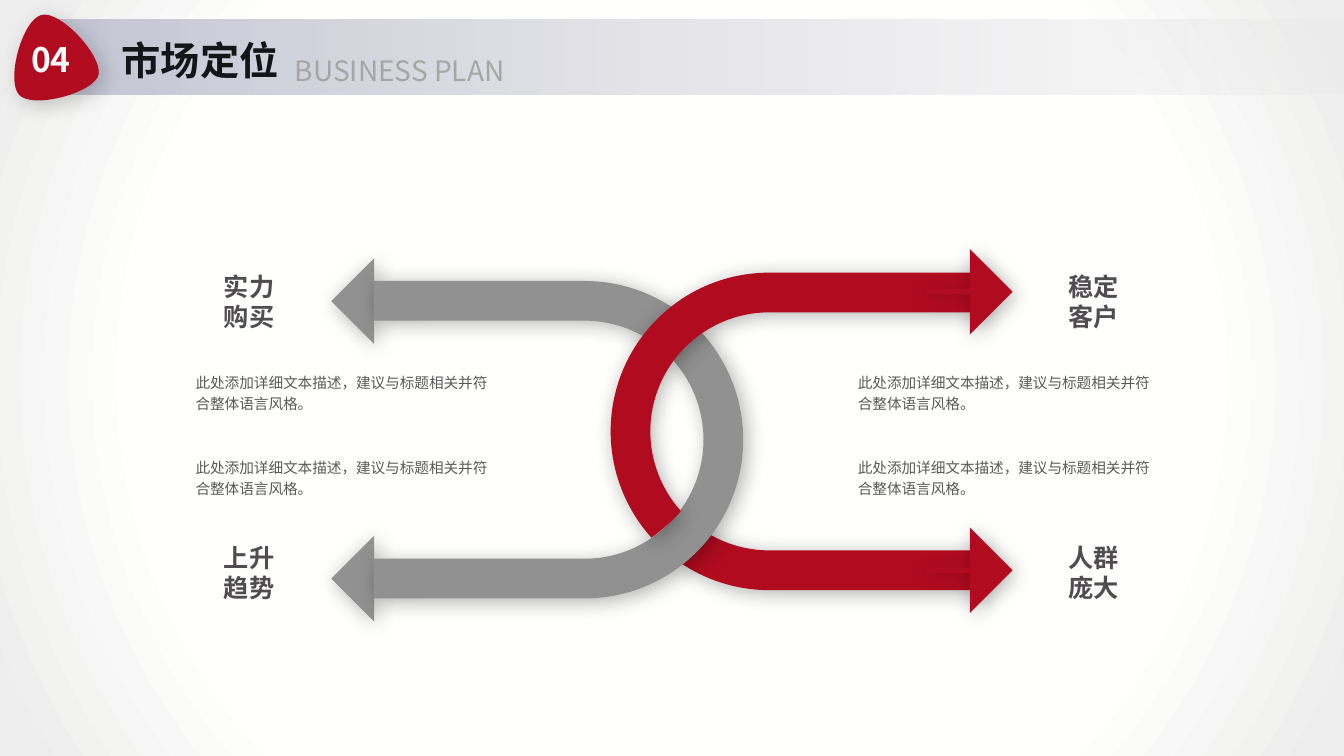
"""Build the market positioning slide with two interlocking arrow bands."""
import math
from dataclasses import dataclass
from itertools import pairwise, product
from typing import Any

from lxml import etree
from pptx import Presentation, oxml
from pptx import util as u
from pptx.dml import color
from pptx.enum import shapes, text
from pptx.oxml import ns

FONT = "Noto Sans CJK SC"
COLORS = {
    "red": "B10B1F", "grey": "919191", "label": "4F4D50", "body": "595959",
    "title": "141519", "subtitle": "A6A6A6", "white": "FFFFFF",
    "paper": "FFFFFE", "edge": "EDEDED", "bar_start": "C3C5D4", "bar_end": "E7E5E6",
}
Point = tuple[float, float]
Segment = tuple[Point, ...]
Box = tuple[float, float, float, float]
OUTER, INNER = 4.0, 3.0
ARROW = 2.16
DESCRIPTION = "此处添加详细文本描述，建议与标题相关并符合整体语言风格。"
BADGE_START = (0.48, 2.39)
BADGE_CURVES = [
    ((0.15, 2.01), (0.56, 0.51), (1.04, 0.38)),
    ((1.52, 0.25), (2.54, 1.37), (2.49, 1.85)),
    ((2.46, 2.31), (0.84, 2.77), (0.48, 2.39)),
]


@dataclass
class Band:
    color: str
    center: Point
    tail: float
    angles: tuple[int, ...]
    notch: Point | None = None


@dataclass
class Arrow:
    color: str
    left: float
    top: float
    flipped: bool


@dataclass
class Caption:
    lines: tuple[str, ...]
    box: Box
    color: str
    size: float
    bold: bool = False
    centered: bool = False
    wrap: bool = False
    inset: bool = True
    spacing: float = 1.0


GREY_CENTER, RED_CENTER = (14.73, 11.08), (19.39, 10.87)
GREY_TAIL, RED_TAIL = 9.43, 24.72
BANDS = [
    Band("red", RED_CENTER, RED_TAIL, (90, 125)),
    Band("grey", GREY_CENTER, GREY_TAIL, (-90, -54)),
    Band("grey", GREY_CENTER, GREY_TAIL, (90, 0, -45)),
    Band("red", RED_CENTER, RED_TAIL, (270, 180, 138), notch=(16.87, 13.23)),
]
LEFT_ARROWS = [Arrow("grey", 8.35, top, True) for top in (13.5, 6.51)]
RIGHT_ARROWS = [Arrow("red", 23.36, top, False) for top in (13.29, 6.27)]
LABELS = [("实力", "购买"), ("上升", "趋势"), ("稳定", "客户"), ("人群", "庞大")]
CAPTIONS = [
    Caption(lines, (left, top, 3.84, 1.55), "label", 18, bold=True, centered=True, wrap=True, inset=False)
    for lines, (left, top) in zip(LABELS, product((4.36, 25.64), (6.83, 13.67)))
] + [
    Caption((DESCRIPTION,), (left, top, 7.95, 1.35), "body", 10.5, wrap=True, spacing=1.2)
    for left, top in product((4.68, 21.37), (9.19, 11.34))
]
TITLE = Caption(("市场定位",), (2.82, 0.79, 4.52, 1.45), "title", 28, bold=True)
SUBTITLE = Caption(("BUSINESS PLAN",), (7.18, 1.22, 6.02, 1.12), "subtitle", 20)
NUMBER = Caption(("04",), (0.5, 0.86, 1.57, 1.27), "white", 24, bold=True, centered=True)


def apply(target: Any, values: dict[str, Any]) -> None:
    """Set each named attribute on the target."""
    for name, value in values.items():
        setattr(target, name, value)


def add_gradient_box(slide: Any, box: Box, stops: list[tuple[int, str, int]], direction: str) -> Any:
    """Add a rectangle with gradient stops (position, colour name, opacity)."""
    shape = slide.shapes.add_shape(shapes.MSO_SHAPE.RECTANGLE, *map(u.Cm, box))
    shape.shadow.inherit = False
    shape.line.fill.background()
    shape.fill.gradient()
    previous = shape.element.xpath(".//a:gradFill")[0]
    entries = "".join(
        f'<a:gs pos="{position * 1000}"><a:srgbClr val="{COLORS[name]}">'
        f'<a:alpha val="{opacity * 1000}"/></a:srgbClr></a:gs>'
        for position, name, opacity in stops
    )
    previous.getparent().replace(previous, oxml.parse_xml(
        f'<a:gradFill {ns.nsdecls("a")} rotWithShape="1"><a:gsLst>{entries}</a:gsLst>{direction}</a:gradFill>'
    ))
    return shape


def style_shape(shape: Any, name: str, opacity: int = 30, distance: int = 3) -> None:
    """Fill a shape, drop its outline and cast a soft shadow."""
    shape.fill.solid()
    shape.fill.fore_color.rgb = color.RGBColor.from_string(COLORS[name])
    shape.line.fill.background()
    shape.shadow.inherit = False
    effects = shape.element.xpath("./p:spPr/a:effectLst")[0]
    shadow = etree.SubElement(
        effects, ns.qn("a:outerShdw"), blurRad=str(u.Pt(15)), dist=str(u.Pt(distance)),
        dir="2700000", algn="tl", rotWithShape="0",
    )
    black = etree.SubElement(shadow, ns.qn("a:srgbClr"), val="000000")
    etree.SubElement(black, ns.qn("a:alpha"), val=str(opacity * 1000))


def draw_outline(slide: Any, start: Point, segments: list[Segment]) -> Any:
    """Return a closed freeform; three-point segments become Bezier curves."""
    builder = slide.shapes.build_freeform(*map(u.Cm, start))
    builder.add_line_segments([(u.Cm(x), u.Cm(y)) for segment in segments for x, y in segment], close=True)
    shape = builder.convert_to_shape()
    lines = iter(shape.element.xpath(".//a:lnTo"))
    for segment in segments:
        first, *others = [next(lines) for _ in segment]
        if others:
            curve = etree.Element(ns.qn("a:cubicBezTo"))
            first.addprevious(curve)
            for line in (first, *others):
                curve.append(line[0])
                line.getparent().remove(line)
    return shape


def arc(center: Point, radius: float, angles: tuple[int, ...]) -> tuple[Point, list[Segment]]:
    """Return the start of an arc and one Bezier curve per pair of angles."""
    def at(angle: float, along: float = 0) -> Point:
        """Return a point on the circle, moved along its tangent."""
        cosine, sine = math.cos(angle), math.sin(angle)
        return center[0] + radius * (cosine - along * sine), center[1] + radius * (sine + along * cosine)

    curves = []
    for begin, end in pairwise(map(math.radians, angles)):
        reach = 4 / 3 * math.tan((end - begin) / 4)
        curves.append((at(begin, reach), at(end, -reach), at(end)))
    return at(math.radians(angles[0])), curves


def draw_band(slide: Any, band: Band) -> None:
    """Draw a straight tail that runs into part of a ring."""
    outer_start, outer = arc(band.center, OUTER, band.angles)
    inner_start, inner = arc(band.center, INNER, band.angles[::-1])
    end = (outer[-1][-1], band.notch, inner_start) if band.notch else (inner_start,)
    tail_bottom = (band.tail, inner[-1][-1][1])
    segments = [(outer_start,), *outer, end, *inner, (tail_bottom,)]
    style_shape(draw_outline(slide, (band.tail, outer_start[1]), segments), band.color)


def draw_arrow(slide: Any, arrow: Arrow) -> None:
    """Draw one arrowhead."""
    shape = slide.shapes.add_shape(
        shapes.MSO_SHAPE.RIGHT_ARROW, u.Cm(arrow.left), u.Cm(arrow.top), u.Cm(ARROW), u.Cm(ARROW)
    )
    shape.adjustments[0], shape.adjustments[1] = 0.06, 0.5
    style_shape(shape, arrow.color)
    if arrow.flipped:
        shape.element.xpath(".//a:xfrm")[0].set("flipH", "1")


def write_caption(shape: Any, caption: Caption) -> None:
    """Place a text shape and fill it with formatted paragraphs."""
    apply(shape, dict(zip(("left", "top", "width", "height"), map(u.Cm, caption.box))))
    frame = shape.text_frame
    side, edge = (u.Cm(0.25), u.Cm(0.13)) if caption.inset else (0, 0)
    apply(frame, {
        "word_wrap": caption.wrap, "auto_size": text.MSO_AUTO_SIZE.SHAPE_TO_FIT_TEXT,
        "vertical_anchor": text.MSO_ANCHOR.TOP, "margin_left": side, "margin_right": side,
        "margin_top": edge, "margin_bottom": edge,
    })
    for index, line in enumerate(caption.lines):
        paragraph = frame.add_paragraph() if index else frame.paragraphs[0]
        apply(paragraph, {
            "alignment": text.PP_ALIGN.CENTER if caption.centered else text.PP_ALIGN.LEFT,
            "line_spacing": caption.spacing,
        })
        run = paragraph.add_run()
        run.text = line
        apply(run.font, {"name": FONT, "size": u.Pt(caption.size), "bold": caption.bold})
        run.font.color.rgb = color.RGBColor.from_string(COLORS[caption.color])
    for properties in shape.element.iter(ns.qn("a:rPr")):
        etree.SubElement(properties, ns.qn("a:ea"), typeface=FONT)


def add_caption(slide: Any, caption: Caption) -> None:
    """Add a text box for a caption."""
    write_caption(slide.shapes.add_textbox(*map(u.Cm, caption.box)), caption)


def draw_header(slide: Any) -> None:
    """Draw the header bar, title, subtitle and numbered badge."""
    stops = [(0, "bar_start", 100), (100, "bar_end", 20)]
    bar = add_gradient_box(slide, (0.91, 0.49, 32.95, 1.9), stops, '<a:lin ang="0" scaled="0"/>')
    add_caption(slide, SUBTITLE)
    title = slide.shapes.title
    write_caption(title, TITLE)
    bar.element.addnext(title.element)
    style_shape(draw_outline(slide, BADGE_START, BADGE_CURVES), "red", opacity=20, distance=5)
    add_caption(slide, NUMBER)


def main() -> None:
    """Build and save the presentation."""
    presentation = Presentation()
    apply(presentation, {"slide_width": u.Cm(33.87), "slide_height": u.Cm(19.05)})
    slide = presentation.slides.add_slide(presentation.slide_layouts[5])
    add_gradient_box(
        slide, (0, 0, 33.87, 19.05), [(0, "paper", 100), (69, "paper", 100), (97, "edge", 100)],
        '<a:path path="circle"><a:fillToRect l="50000" t="50000" r="50000" b="50000"/></a:path>',
    )
    for arrow in LEFT_ARROWS:
        draw_arrow(slide, arrow)
    for band in BANDS:
        draw_band(slide, band)
    for caption in CAPTIONS:
        add_caption(slide, caption)
    for arrow in RIGHT_ARROWS:
        draw_arrow(slide, arrow)
    draw_header(slide)
    presentation.save("out.pptx")


if __name__ == "__main__":
    main()
